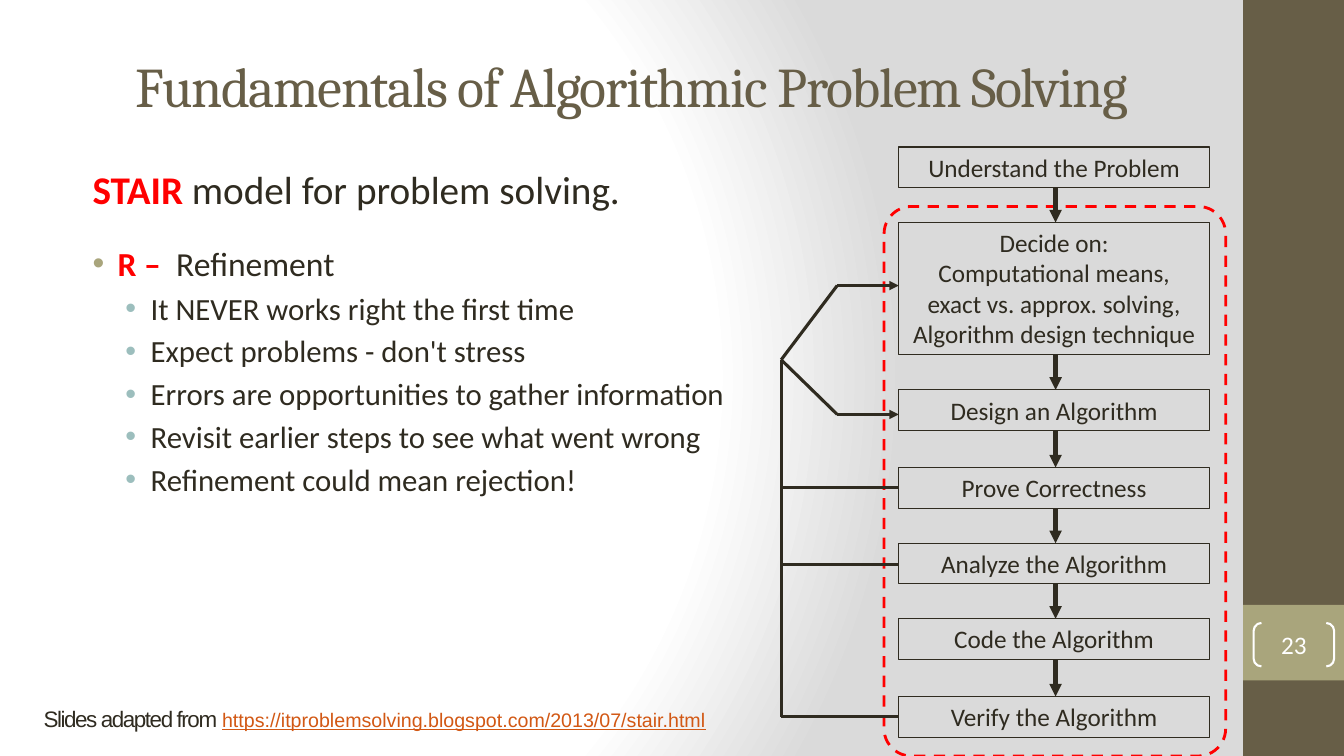
"""Build the slide on the refinement step of the STAIR problem solving model."""
from lxml.etree import SubElement
from pptx import Presentation
from pptx.dml.color import RGBColor
from pptx.enum.dml import MSO_LINE
from pptx.enum.shapes import MSO_CONNECTOR, MSO_SHAPE as Kind
from pptx.enum.text import MSO_ANCHOR as Anchor, PP_ALIGN as Align
from pptx.oxml import parse_xml
from pptx.oxml.ns import qn
from pptx.util import Pt

HUE = {"ink": "2F2B20", "brown": "675E47", "tan": "A9A57C", "teal": "9CBEBD",
       "red": "FF0000", "white": "FFFFFF", "gray": "DADADA", "link": "D25814"}


def color(name):
    return RGBColor.from_string(HUE[name])


def style(font, size, face="Calibri", hue="ink"):
    font.size = Pt(size)
    font.name = face
    font.color.rgb = color(hue)


deck = Presentation()
deck.slide_width, deck.slide_height = Pt(960), Pt(540)
slide = deck.slides.add_slide(deck.slide_layouts[6])
shapes = slide.shapes

stops = "".join(
    f'<a:gs pos="{pos * 1000}"><a:srgbClr val="{HUE[hue]}"/></a:gs>'
    for pos, hue in [(0, "white"), (75, "white"), (100, "gray")])
slide.element.cSld.insert(0, parse_xml(
    '<p:bg xmlns:p="http://schemas.openxmlformats.org/presentationml/2006/main"'
    ' xmlns:a="http://schemas.openxmlformats.org/drawingml/2006/main"><p:bgPr>'
    f'<a:gradFill rotWithShape="1"><a:gsLst>{stops}</a:gsLst><a:path path="circle">'
    '<a:fillToRect l="20000" t="50000" r="100000" b="50000"/></a:path>'
    '</a:gradFill><a:effectLst/></p:bgPr></p:bg>'))

for top, high, hue in [(0, 540, "brown"), (432, 54, "tan")]:
    band = shapes.add_shape(Kind.RECTANGLE, Pt(888), Pt(top), Pt(72), Pt(high))
    band.shadow.inherit = False
    band.fill.solid()
    band.fill.fore_color.rgb = color(hue)
    band.line.fill.background()

title = shapes.add_textbox(Pt(90), Pt(40), Pt(775), Pt(42)).text_frame
title.word_wrap = True
title.vertical_anchor = Anchor.MIDDLE
para = title.paragraphs[0]
run = para.add_run()
run.text = "Fundamentals of Algorithmic Problem Solving"
run._r.get_or_add_rPr().set("spc", "-100")
style(para.font, 40, "Cambria", "brown")

badge = shapes.add_shape(Kind.DOUBLE_BRACKET, Pt(895.5), Pt(445), Pt(57.5), Pt(31))
badge.adjustments[0] = 0.18
badge.shadow.inherit = False
badge.fill.background()
badge.line.color.rgb = color("white")
badge.line.width = Pt(1.5)
frame = badge.text_frame
frame.margin_left = frame.margin_right = frame.margin_top = frame.margin_bottom = 0
frame.vertical_anchor = Anchor.MIDDLE
para = frame.paragraphs[0]
para.text = "23"
para.alignment = Align.CENTER
style(para.font, 18, hue="white")

body = shapes.add_textbox(Pt(50), Pt(114.5), Pt(497), Pt(413)).text_frame
body.word_wrap = True
points = [("STAIR ", "model for problem solving.", 28, 0, 9, None),
          ("R – ", " Refinement", 24, 22, 27, "tan")]
points += [("", words, 22, 4.2, 50.5, "teal") for words in [
    "It NEVER works right the first time",
    "Expect problems - don't stress",
    "Errors are opportunities to gather information",
    "Revisit earlier steps to see what went wrong",
    "Refinement could mean rejection!"]]
for n, (lead, words, size, gap, left, dot) in enumerate(points):
    para = body.add_paragraph() if n else body.paragraphs[0]
    para.alignment = Align.JUSTIFY
    para.space_before = Pt(gap)
    props = para._p.get_or_add_pPr()
    props.set("marL", str(Pt(left)))
    if dot:
        props.set("indent", str(Pt(-18)))
        tint = SubElement(props, qn("a:buClr"))
        SubElement(tint, qn("a:srgbClr"), val=HUE[dot])
        SubElement(props, qn("a:buFont"), typeface="Arial")
        SubElement(props, qn("a:buChar"), char="•")
    style(para.font, size)
    if lead:
        run = para.add_run()
        run.text = lead
        run.font.bold = True
        run.font.color.rgb = color("red")
    para.add_run().text = words

loop = shapes.add_shape(Kind.ROUNDED_RECTANGLE, Pt(631.5), Pt(147.5), Pt(244), Pt(392.5))
loop.adjustments[0] = 0.08
loop.shadow.inherit = False
loop.fill.background()
loop.line.color.rgb = color("red")
loop.line.width = Pt(2)
loop.line.dash_style = MSO_LINE.DASH

steps = [(105, 29, ["Understand the Problem"]),
         (159, 94.5, ["Decide on:",
                      "Computational means, exact vs. approx. solving,",
                      "Algorithm design technique"]),
         (278.5, 29, ["Design an Algorithm"]),
         (334, 29, ["Prove Correctness"]),
         (388, 29, ["Analyze the Algorithm"]),
         (442, 29, ["Code the Algorithm"]),
         (497.5, 29, ["Verify the Algorithm"])]
for top, high, rows in steps:
    box = shapes.add_shape(Kind.RECTANGLE, Pt(642), Pt(top), Pt(222), Pt(high))
    box.shadow.inherit = False
    box.fill.background()
    box.line.color.rgb = color("ink")
    box.line.width = Pt(0.75)
    frame = box.text_frame
    frame.word_wrap = True
    frame.vertical_anchor = Anchor.TOP
    for n, row in enumerate(rows):
        para = frame.add_paragraph() if n else frame.paragraphs[0]
        para.text = row
        para.alignment = Align.CENTER
        style(para.font, 18)

wires = [(754, top + high, 754, after[0], 3, True)
         for (top, high, _), after in zip(steps, steps[1:])]
wires += [(641.5, y, 558, y, 2.25, False) for y in (348.5, 403, 512)]
wires.append((558, 257, 558, 512, 2.25, False))
for y in (204, 296):
    wires += [(558, 257, 598, y, 2.25, False), (598, y, 642, y, 2.25, True)]
for x1, y1, x2, y2, width, head in wires:
    wire = shapes.add_connector(MSO_CONNECTOR.STRAIGHT, Pt(x1), Pt(y1), Pt(x2), Pt(y2))
    wire.line.color.rgb = color("ink")
    wire.line.width = Pt(width)
    if head:
        SubElement(wire.line._get_or_add_ln(), qn("a:tailEnd"), type="triangle")
    SubElement(wire._element.spPr, qn("a:effectLst"))

note = shapes.add_textbox(Pt(21.5), Pt(500), Pt(492.5), Pt(37)).text_frame
note.word_wrap = True
para = note.paragraphs[0]
para.alignment = Align.CENTER
style(para.font, 16, "Arial")
run = para.add_run()
run.text = "Slides adapted from "
run._r.get_or_add_rPr().set("spc", "-100")
run = para.add_run()
run.text = "https://itproblemsolving.blogspot.com/2013/07/stair.html"
run.font.size = Pt(14)
run.font.underline = True
run.font.color.rgb = color("link")

deck.save("out.pptx")
